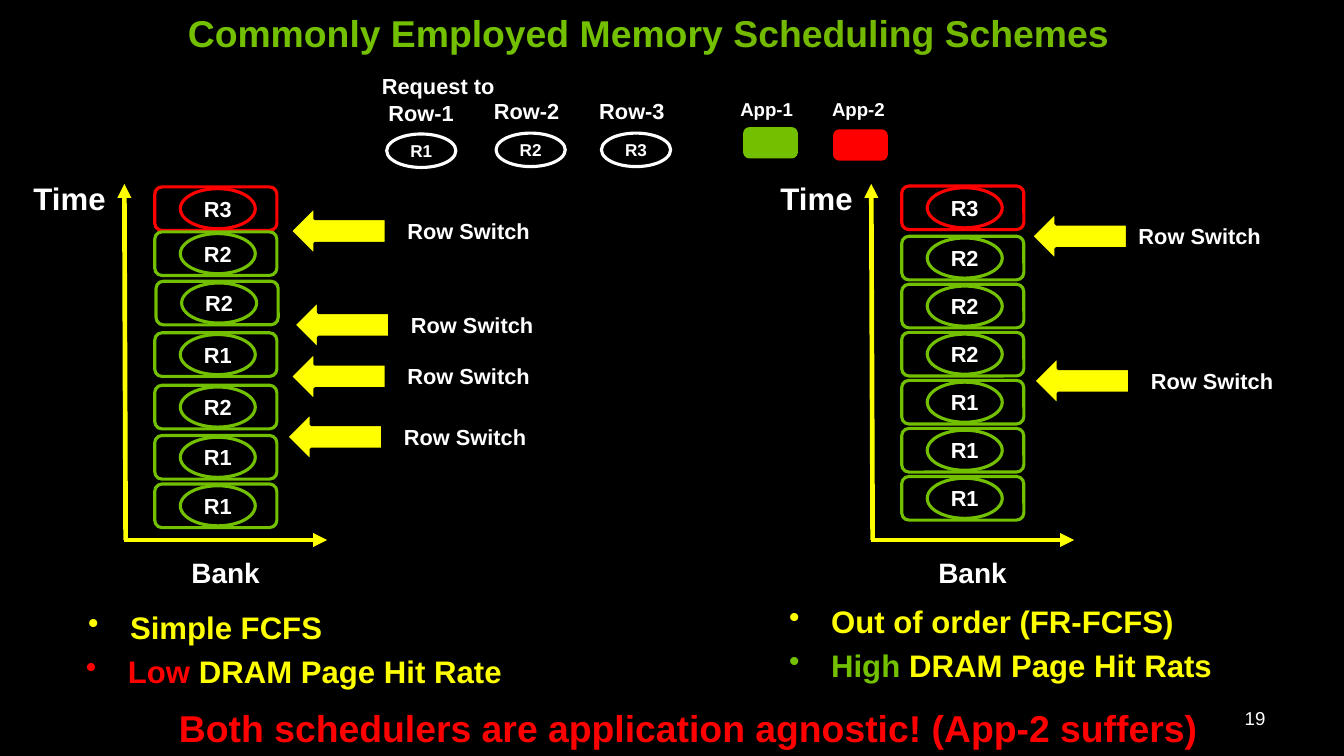
from lxml.etree import SubElement
from pptx import Presentation
from pptx.dml.color import RGBColor
from pptx.enum.shapes import MSO_CONNECTOR, MSO_SHAPE
from pptx.enum.text import MSO_ANCHOR, PP_ALIGN
from pptx.oxml.ns import qn
from pptx.util import Cm, Pt

GREEN, TITLE_GREEN, RED = "73C000", "73B900", "FF0000"
YELLOW, WHITE, BLACK = "FFFF00", "FFFFFF", "000000"


def color(hex_string):
    return RGBColor.from_string(hex_string)


def write(frame, spans, size, align=PP_ALIGN.LEFT):
    """Fill the first paragraph with (text, colour) spans."""
    para = frame.paragraphs[0]
    para.alignment = align
    para.font.name, para.font.size, para.font.bold = "Arial", Pt(size), True
    for text, hex_string in spans:
        span = para.add_run()
        span.text = text
        span.font.color.rgb = color(hex_string)
    return para


def add_text(page, left, top, width, height, spans, size, align=PP_ALIGN.LEFT):
    box = page.shapes.add_textbox(Cm(left), Cm(top), Cm(width), Cm(height))
    box.text_frame.word_wrap = True
    return write(box.text_frame, spans, size, align)


def add_shape(page, kind, left, top, width, height, line, fill=None):
    shape = page.shapes.add_shape(kind, Cm(left), Cm(top), Cm(width), Cm(height))
    shape.shadow.inherit = False
    shape.line.color.rgb = color(line)
    shape.line.width = Pt(2)
    if fill:
        shape.fill.solid()
        shape.fill.fore_color.rgb = color(fill)
    else:
        shape.fill.background()
    return shape


def add_request(page, left, top, width, height, name, line, size):
    oval = add_shape(page, MSO_SHAPE.OVAL, left, top, width, height, line)
    frame = oval.text_frame
    frame.margin_left = frame.margin_right = 0
    frame.margin_top = frame.margin_bottom = 0
    frame.vertical_anchor = MSO_ANCHOR.MIDDLE
    frame.word_wrap = False
    write(frame, [(name, WHITE)], size, PP_ALIGN.CENTER)


def add_axis(page, start_x, start_y, end_x, end_y):
    axis = page.shapes.add_connector(
        MSO_CONNECTOR.STRAIGHT, Cm(start_x), Cm(start_y), Cm(end_x), Cm(end_y))
    axis.line.color.rgb = color(YELLOW)
    axis.line.width = Pt(3)
    SubElement(axis.line._get_or_add_ln(), qn("a:tailEnd"), type="triangle")
    SubElement(axis._element.spPr, qn("a:effectLst"))


def add_bullet(page, left, top, width, spans):
    para = add_text(page, left, top, width, 1.3, spans, 20)
    para.space_before = Pt(4)
    properties = para._p.get_or_add_pPr()
    properties.set("marL", str(Cm(0.95)))
    properties.set("indent", str(-Cm(0.95)))
    bullet = SubElement(properties, qn("a:buChar"), char="•")
    properties.find(qn("a:spcBef")).addnext(bullet)


def add_legend(page, left, top):
    # Rows: request ovals under their names
    add_text(page, left, top, 4.34, 0.86, [("Request to", WHITE)], 14)
    rows = [(0.15, 0.61, 0.36, 1.52), (2.54, 0.58, 2.84, 1.5), (4.93, 0.58, 5.23, 1.5)]
    for number, (name_x, name_y, oval_x, oval_y) in enumerate(rows, 1):
        add_text(page, left + name_x, top + name_y, 2.77, 0.86,
                 [(f"Row-{number}", WHITE)], 14)
        add_request(page, left + oval_x, top + oval_y, 1.57, 0.76,
                    f"R{number}", WHITE, 11)
    # Applications: colour swatches
    apps = [("App-1", 8.13, 8.48, 1.4, GREEN), ("App-2", 10.21, 10.52, 1.45, RED)]
    for name, name_x, swatch_x, swatch_y, fill in apps:
        add_text(page, left + name_x, top + 0.58, 3.56, 0.76, [(name, WHITE)], 12)
        add_shape(page, MSO_SHAPE.ROUNDED_RECTANGLE, left + swatch_x,
                  top + swatch_y, 1.17, 0.64, fill, fill)


def add_schedule(page, left, top, requests, switches):
    """Bank timeline: requests are (name, x, y), switches (x, y, label gap)."""
    # Axes
    add_axis(page, left + 2.34, top + 8.31, left + 2.31, top + 0.23)
    add_axis(page, left + 2.31, top + 8.31, left + 6.91, top + 8.31)
    add_text(page, left, top, 2.34, 1.12, [("Time", WHITE)], 20)
    add_text(page, left + 3.58, top + 8.53, 3.05, 1.02, [("Bank", WHITE)], 18)
    # Stack of requests
    for name, x, y in requests:
        line = RED if name == "R3" else GREEN
        add_shape(page, MSO_SHAPE.ROUNDED_RECTANGLE, left + x, top + y,
                  2.77, 0.99, line)
        add_request(page, left + x + 0.58, top + y + 0.04, 1.7, 0.91, name, line, 14)
    # Row switches
    for x, y, gap in switches:
        arrow = add_shape(page, MSO_SHAPE.RIGHT_ARROW, left + x, top + y,
                          2.18, 1.12, BLACK, YELLOW)
        arrow.rotation = 180
        add_text(page, left + x + gap, top + y + 0.13, 4.34, 0.86,
                 [("Row Switch", WHITE)], 14)


def main():
    deck = Presentation()
    deck.slide_width, deck.slide_height = Cm(30.48), Cm(17.15)
    page = deck.slides.add_slide(deck.slide_layouts[6])
    page.background.fill.solid()
    page.background.fill.fore_color.rgb = color(BLACK)

    # Title and legend
    add_text(page, 4.01, 0.1, 23.27, 1.27,
             [("Commonly Employed Memory ", GREEN),
              ("Scheduling Schemes", TITLE_GREEN)], 24)
    add_legend(page, 8.41, 1.52)

    # Simple FCFS on the left
    fcfs = [("R3", 3, 0.3), ("R2", 3, 1.32), ("R2", 3.03, 2.44), ("R1", 3, 3.61),
            ("R2", 3, 4.8), ("R1", 3, 5.94), ("R1", 3, 7.04)]
    add_schedule(page, 0.51, 3.94, fcfs,
                 [(6.07, 0.74, 2.41), (6.15, 2.87, 2.41),
                  (6.07, 4.04, 2.41), (5.99, 5.41, 2.41)])
    add_bullet(page, 1.75, 13.67, 13.54, [("Simple FCFS", YELLOW)])
    add_bullet(page, 1.7, 14.68, 13.54,
               [("Low", RED), (" DRAM Page Hit Rate", YELLOW)])

    # FR-FCFS on the right, grouped by row at an even pitch
    grouped = ["R2"] * 3 + ["R1"] * 3
    fr_fcfs = [("R3", 3, 0.28)]
    fr_fcfs += [(name, 3, 1.42 + 1.09 * slot) for slot, name in enumerate(grouped)]
    add_schedule(page, 17.45, 3.94, fr_fcfs,
                 [(5.94, 0.86, 2.18), (5.99, 4.14, 2.41)])
    add_bullet(page, 17.65, 13.54, 9.96, [("Out of order (FR-FCFS)", YELLOW)])
    add_bullet(page, 17.65, 14.55, 11.05,
               [("High ", GREEN), ("DRAM Page Hit Rats", YELLOW)])

    # Conclusion and page number
    add_text(page, 3.81, 15.88, 25.37, 1.27,
             [("Both schedulers are application agnostic! (App-2 suffers)", RED)], 24)
    number = add_text(page, 21.84, 15.9, 7.11, 0.91, [("19", WHITE)], 12, PP_ALIGN.RIGHT)
    number.font.bold = False

    deck.save("out.pptx")


if __name__ == "__main__":
    main()
